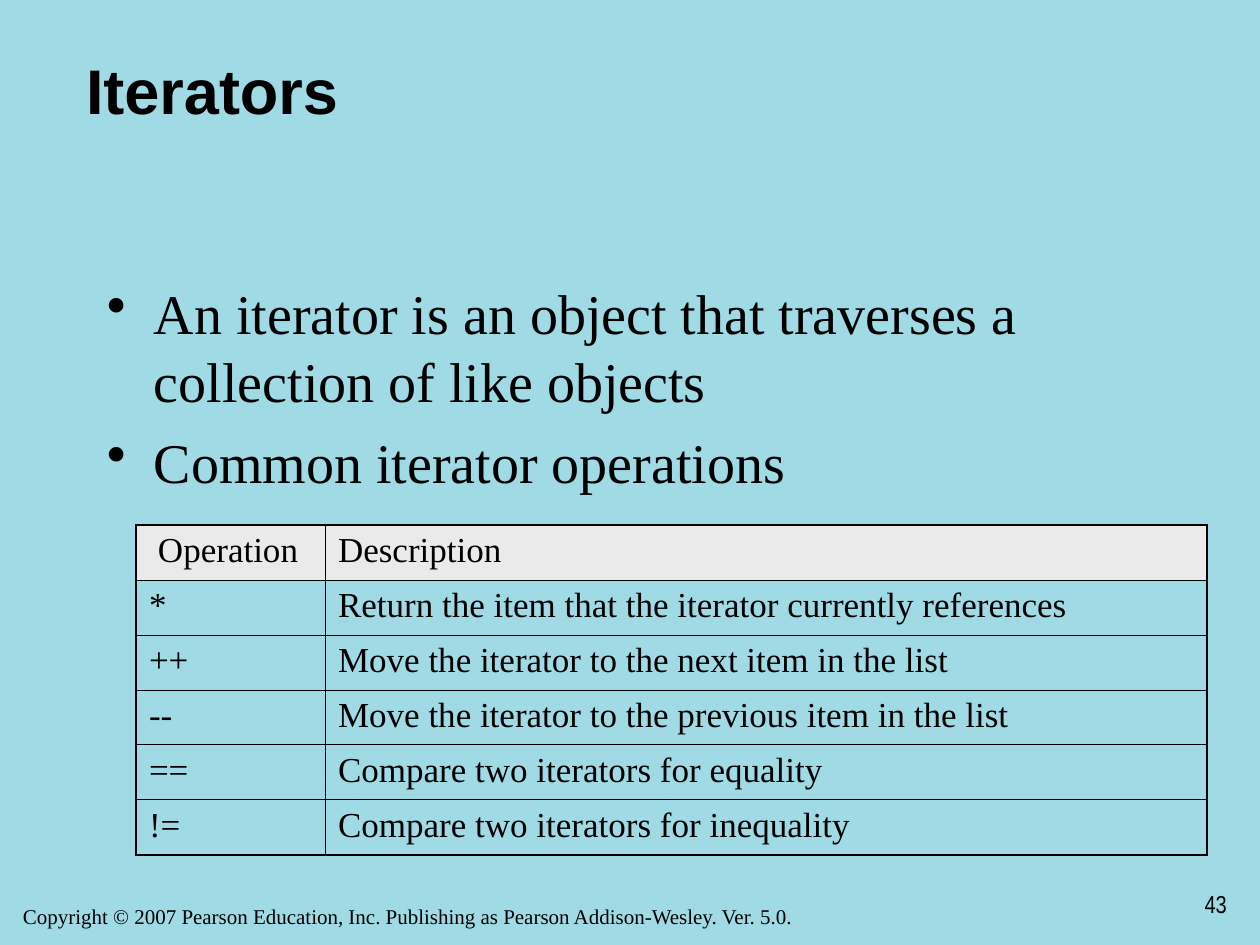
from dataclasses import dataclass

from lxml import etree
from pptx import Presentation
from pptx import util as u
from pptx.dml.color import RGBColor
from pptx.enum import text
from pptx.oxml.ns import qn

EMU_PER_PX = 914400 / 126
INSET_X, INSET_Y = 13, 6
OUTER, INNER = 1.08, 0.45
ROW_HEIGHT = 55
COLUMN_WIDTHS = (189, 882)

BULLETS = (
    "An iterator is an object that traverses a collection of like objects",
    "Common iterator operations",
)
OPERATIONS = (
    ("Operation", "Description"),
    ("*", "Return the item that the iterator currently references"),
    ("++", "Move the iterator to the next item in the list"),
    ("--", "Move the iterator to the previous item in the list"),
    ("==", "Compare two iterators for equality"),
    ("!=", "Compare two iterators for inequality"),
)


@dataclass(frozen=True)
class Theme:
    background: str = "A0DBE5"
    ink: str = "000000"
    header: str = "EAEAEA"
    heading: tuple = ("Arial", 36, True)
    body: tuple = ("Times New Roman", 32, False)
    cell: tuple = ("Times New Roman", 20, False)
    copyright: tuple = ("Times New Roman", 12, False)
    number: tuple = ("Arial Narrow", 14, False)


THEME = Theme()


def px(length):
    return u.Emu(round(length * EMU_PER_PX))


def style(paragraph, face):
    name, size, bold = face
    values = {"name": name, "size": u.Pt(size), "bold": bold}
    for key, value in values.items():
        setattr(paragraph.font, key, value)
    paragraph.font.color.rgb = RGBColor.from_string(THEME.ink)


def set_frame(frame, anchor):
    values = {
        "word_wrap": True, "auto_size": text.MSO_AUTO_SIZE.NONE,
        "vertical_anchor": anchor,
        "margin_left": px(INSET_X), "margin_right": px(INSET_X),
        "margin_top": px(INSET_Y), "margin_bottom": px(INSET_Y),
    }
    for key, value in values.items():
        setattr(frame, key, value)


def add_title(slide, wording, box):
    title = slide.shapes.title
    title.left, title.top, title.width, title.height = map(px, box)
    set_frame(title.text_frame, text.MSO_ANCHOR.MIDDLE)
    title.text_frame.text = wording
    heading = title.text_frame.paragraphs[0]
    heading.alignment = text.PP_ALIGN.LEFT
    style(heading, THEME.heading)


def add_text(slide, wording, box, face, anchor, align=text.PP_ALIGN.LEFT):
    frame = slide.shapes.add_textbox(*map(px, box)).text_frame
    set_frame(frame, anchor)
    frame.text = wording
    for paragraph in frame.paragraphs:
        paragraph.alignment = align
        style(paragraph, face)
    return frame


def add_bullets(slide, items, box):
    frame = add_text(slide, "\n".join(items), box, THEME.body, text.MSO_ANCHOR.TOP)
    for index, paragraph in enumerate(frame.paragraphs):
        properties = paragraph._p.get_or_add_pPr()
        properties.set("marL", str(px(47)))
        properties.set("indent", str(-px(47)))
        bullet = etree.Element(qn("a:buChar"), char="•")
        properties.insert(0, bullet)
        if index:
            paragraph.space_before = u.Pt(8)


def set_borders(cell, widths):
    """Draw the cell's left, right, top and bottom lines, in points."""
    properties = cell._tc.get_or_add_tcPr()
    for index, (side, width) in enumerate(zip("LRTB", widths)):
        line = etree.Element(qn(f"a:ln{side}"), w=str(u.Pt(width)))
        fill = etree.SubElement(line, qn("a:solidFill"))
        etree.SubElement(fill, qn("a:srgbClr"), val=THEME.ink)
        properties.insert(index, line)


def fill_cell(cell, wording, is_header):
    cell.text = wording
    style(cell.text_frame.paragraphs[0], THEME.cell)
    cell.margin_left = cell.margin_right = px(INSET_X)
    cell.margin_top = cell.margin_bottom = px(INSET_Y)
    if is_header:
        cell.fill.solid()
        cell.fill.fore_color.rgb = RGBColor.from_string(THEME.header)
    else:
        cell.fill.background()


def add_operations(slide, left, top):
    last_row, last_column = len(OPERATIONS) - 1, len(COLUMN_WIDTHS) - 1
    size = (sum(COLUMN_WIDTHS), ROW_HEIGHT * len(OPERATIONS))
    table = slide.shapes.add_table(
        len(OPERATIONS), len(COLUMN_WIDTHS), *map(px, (left, top, *size))).table
    table.horz_banding = False
    for column, width in zip(table.columns, COLUMN_WIDTHS):
        column.width = px(width)
    for r, row in enumerate(OPERATIONS):
        table.rows[r].height = px(ROW_HEIGHT)
        for c, wording in enumerate(row):
            cell = table.cell(r, c)
            fill_cell(cell, wording, r == 0)
            edges = (c == 0, c == last_column, r == 0, r == last_row)
            set_borders(cell, [OUTER if edge else INNER for edge in edges])
    table.cell(0, 0).margin_left = px(INSET_X + 9)


def main():
    deck = Presentation()
    deck.slide_width, deck.slide_height = px(1260), px(945)
    slide = deck.slides.add_slide(deck.slide_layouts[5])
    slide.background.fill.solid()
    slide.background.fill.fore_color.rgb = RGBColor.from_string(THEME.background)

    add_text(slide,
             "Copyright © 2007 Pearson Education, Inc. "
             "Publishing as Pearson Addison-Wesley. Ver. 5.0.",
             (10, 882, 1008, 53), THEME.copyright, text.MSO_ANCHOR.BOTTOM)
    add_title(slide, "Iterators", (73, 10, 1071, 158))
    add_bullets(slide, BULLETS, (94, 273, 1071, 284))
    add_operations(slide, 136, 525)
    add_text(slide, "43", (978, 861, 262, 63), THEME.number,
             text.MSO_ANCHOR.BOTTOM, text.PP_ALIGN.RIGHT)
    deck.save("out.pptx")


if __name__ == "__main__":
    main()
